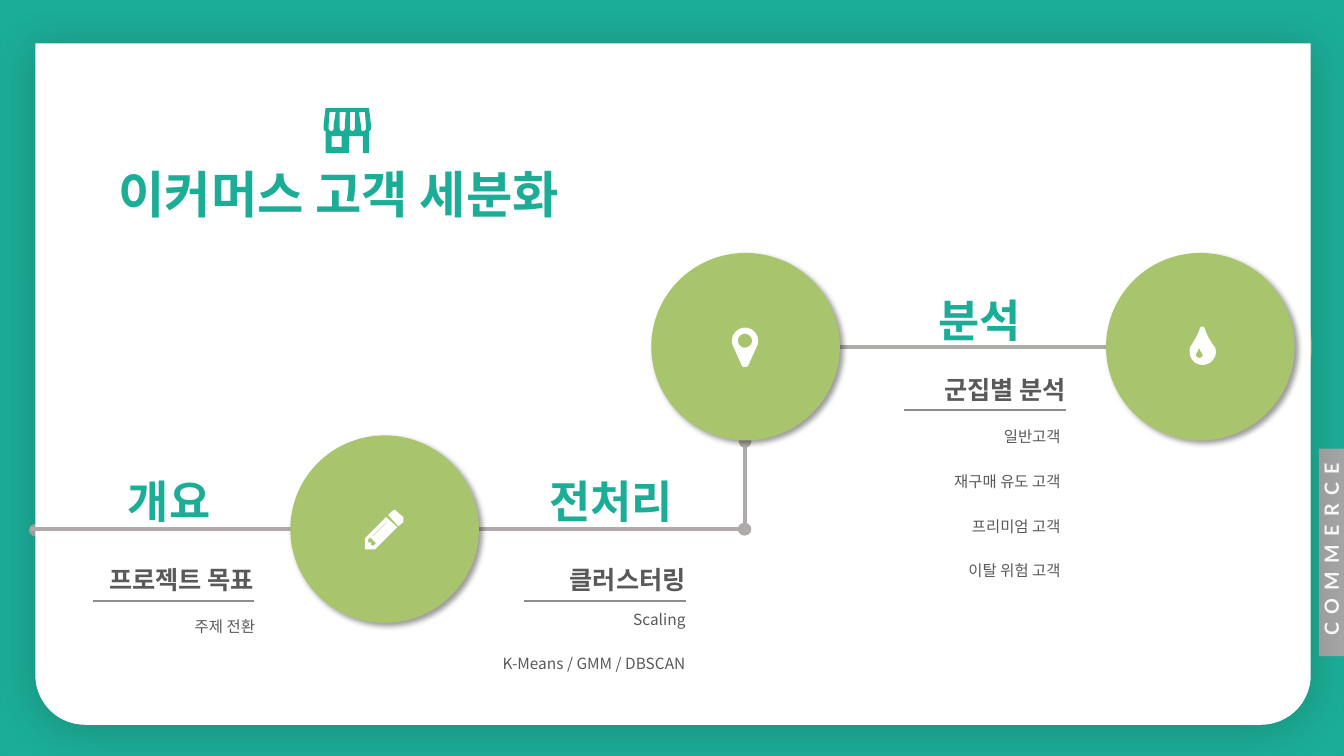
from dataclasses import dataclass
from pptx import Presentation
from pptx.dml.color import RGBColor
from pptx.enum.shapes import MSO_CONNECTOR, MSO_SHAPE
from pptx.enum.text import MSO_AUTO_SIZE, PP_ALIGN
from pptx.oxml.ns import qn
from pptx.oxml.xmlchemy import OxmlElement
from pptx.util import Inches, Pt


@dataclass(frozen=True)
class Theme:
    teal: str = "1CAD97"
    edge: str = "1CAC96"
    green: str = "A8C56D"
    white: str = "FFFFFF"
    track: str = "AFABAB"
    rule: str = "8D8D8D"
    tag: str = "A6A6A6"
    text: str = "595959"
    black: str = "000000"
    korean: str = "Noto Sans CJK KR"
    latin: str = "Lato"
    title: int = 36
    stage: int = 32
    head: int = 18
    label: int = 14
    item: int = 11


T = Theme()
TITLE = "이커머스 고객 세분화"
LABEL = "COMMERCE"
STAGES = [
    {"name": "개요", "at": (1.17, 4.65), "wide": 1.47, "font": T.korean,
     "head": "프로젝트 목표", "right": 2.52, "top": 5.54,
     "items": ["주제 전환"], "list": (2.53, 6.03)},
    {"name": "전처리", "at": (5.35, 4.65), "wide": 1.94, "font": T.latin,
     "head": "클러스터링", "right": 6.8, "top": 5.54,
     "items": ["Scaling", "K-Means / GMM / DBSCAN"], "list": (6.8, 5.96)},
    {"name": "분석", "at": (9.21, 2.85), "wide": 1.47, "font": T.latin,
     "head": "군집별 분석", "right": 10.57, "top": 3.65,
     "items": ["일반고객", "재구매 유도 고객", "프리미엄 고객", "이탈 위험 고객"],
     "list": (10.52, 4.15)},
]
TRACKS = [
    ((7.39, 4.38), (7.39, 5.25), ("headEnd", "tailEnd")),
    ((4.71, 5.25), (7.38, 5.25), ("tailEnd",)),
    ((8.32, 3.44), (10.99, 3.44), ()),
    ((0.31, 5.25), (2.98, 5.25), ("tailEnd",)),
]
DISCS = [(6.46, 2.51), (10.97, 2.51), (2.88, 4.32)]
PIN = """M 25 18 L 16 38 C 15 39 14 39 13 39 C 12 39 10 39 10 38 L 1 18
C 0 16 0 15 0 13 C 0 6 6 0 13 0 C 20 0 26 6 26 13 C 26 15 26 16 25 18
M 13 6 C 9 6 6 9 6 13 C 6 17 9 20 13 20 C 16 20 20 17 20 13 C 20 9 16 6 13 6"""
DROP = """M 13 38 C 5 38 0 32 0 25 C 0 22 0 20 2 18 C 3 16 8 9 10 2
C 11 0 12 0 13 0 C 14 0 14 0 15 2 C 17 9 22 16 23 18 C 25 20 26 22 26 25
C 26 32 20 38 13 38 M 12 26 C 12 26 10 24 10 22 L 9 22 C 8 24 7 26 7 26
C 6 27 6 27 6 28 C 6 30 8 31 10 31 C 11 31 13 30 13 28 C 13 27 12 27 12 26"""
PENCIL = """M 32 17 L 10 39 L 0 39 L 0 28 L 21 7
M 11 33 L 5 27 L 3 29 L 3 32 L 6 32 L 6 35 L 9 35
M 22 11 L 8 25 L 7 26 L 8 26 L 22 12
M 38 12 L 33 16 L 23 5 L 27 1 C 28 0 29 0 29 0 C 30 0 31 0 31 1
L 38 7 C 38 7 38 8 38 9 C 38 10 38 11 38 12"""
STORE = """M 42 20 C 42 22 41 23 39 23 C 38 23 37 22 37 20 L 37 17 L 35 4 L 41 4 L 42 17
M 31 20 C 31 22 30 23 29 23 C 27 23 26 22 26 20 L 26 4 L 31 4
M 21 20 C 21 22 20 23 18 23 C 17 23 16 22 16 20 L 16 4 L 22 4 L 21 17
M 18 39 L 8 39 L 8 28 L 18 28
M 5 20 L 5 17 L 6 4 L 12 4 L 10 17 L 10 20 C 10 22 9 23 8 23 C 6 23 5 22 5 20
M 45 0 L 2 0 L 0 17 L 0 20 C 0 22 1 23 2 23 L 2 45 L 25 45 L 25 28
L 39 28 L 39 45 L 45 45 L 45 23 C 46 23 47 22 47 20 L 47 17"""
ICONS = [(PIN, 7.26, 3.25, T.white), (DROP, 11.8, 3.24, T.white),
         (PENCIL, 3.62, 5.06, T.white), (STORE, 3.21, 1.07, T.teal)]

deck = Presentation()
deck.slide_width, deck.slide_height = Inches(13.33), Inches(7.5)
slide = deck.slides.add_slide(deck.slide_layouts[6])
shapes = slide.shapes


def node(parent, tag, **attrs):
    child = OxmlElement(f"a:{tag}")
    for key, value in attrs.items():
        child.set(key, str(value))
    parent.append(child)
    return child


def paint(shape, color):
    shape.shadow.inherit = False
    shape.fill.solid()
    shape.fill.fore_color.rgb = RGBColor.from_string(color)
    shape.line.fill.background()
    return shape


def block(kind, box, color):
    return paint(shapes.add_shape(kind, *map(Inches, box)), color)


def shade(shape, alpha, blur, angle):
    effects = shape._element.spPr.find(qn("a:effectLst"))
    cast = node(effects, "outerShdw", blurRad=Pt(blur), dist=Pt(3),
                dir=angle * 60000, algn="ctr", rotWithShape=0)
    node(node(cast, "srgbClr", val=T.black), "alpha", val=alpha * 1000)


def link(start, end, color, width, ends=()):
    line = shapes.add_connector(MSO_CONNECTOR.STRAIGHT, *map(Inches, start + end))
    line.line.color.rgb = RGBColor.from_string(color)
    line.line.width = Pt(width)
    for tag in ends:
        node(line.line._get_or_add_ln(), tag, type="oval")
    node(line._element.spPr, "effectLst")


def write(box, lines, size, color, font=T.korean, bold=True, align=PP_ALIGN.LEFT,
          wrap=True, inset=True, lead=None):
    shape = shapes.add_textbox(*map(Inches, box))
    frame = shape.text_frame
    frame.word_wrap = wrap
    frame.auto_size = MSO_AUTO_SIZE.SHAPE_TO_FIT_TEXT
    if not inset:
        frame.margin_left = frame.margin_right = 0
        frame.margin_top = frame.margin_bottom = 0
    frame.text = "\n".join(lines)
    for para in frame.paragraphs:
        para.alignment = align
        if lead:
            para.line_spacing, para.space_after = lead, Pt(12)
        para.font.size, para.font.bold, para.font.name = Pt(size), bold, font
        para.font.color.rgb = RGBColor.from_string(color)
        node(para._p.pPr.find(qn("a:defRPr")), "ea", typeface=T.korean)
    return shape


def trace(outline):
    loops = []
    for part in outline.split("M")[1:]:
        loop = []
        for step in ("L" + part).replace("L", "|L").replace("C", "|C").split("|")[1:]:
            nums = [float(n) / 100 for n in step[1:].split()]
            points = list(zip(nums[::2], nums[1::2]))
            if step[0] == "L":
                loop += points
                continue
            a, b, c, d = [loop[-1]] + points
            for t in (n / 8 for n in range(1, 9)):
                u = 1 - t
                loop.append(tuple(u**3 * p + 3 * u * u * t * q + 3 * u * t * t * r + t**3 * s
                                  for p, q, r, s in zip(a, b, c, d)))
        loops.append([tuple(map(Inches, point)) for point in loop])
    return loops


def icon(outline, left, top, color):
    first, *rest = trace(outline)
    pen = shapes.build_freeform(*first[0])
    pen.add_line_segments(first[1:])
    for loop in rest:
        pen.move_to(*loop[0])
        pen.add_line_segments(loop[1:])
    paint(pen.convert_to_shape(Inches(left), Inches(top)), color)


back = block(MSO_SHAPE.RECTANGLE, (0, 0, 13.33, 7.5), T.teal)
back.line.color.rgb = RGBColor.from_string(T.edge)
back.line.width = Pt(1)
block(MSO_SHAPE.OVAL, (11.14, 2.51, 1.87, 1.86), T.green)
link((0.35, 5.26), (3.01, 5.26), T.track, 3, ("headEnd",))
block(MSO_SHAPE.RECTANGLE, (13.08, 4.45, 0.26, 2.06), T.tag)
label = write((12.2, 5.28, 2.01, 0.34), [LABEL], T.label, T.white, T.latin,
              align=PP_ALIGN.CENTER, wrap=False)
label.rotation = 270
label.text_frame.paragraphs[0].runs[0]._r.get_or_add_rPr().set("spc", "600")

card = block(MSO_SHAPE.ROUND_2_SAME_RECTANGLE, (0.35, 0.43, 12.65, 6.76), T.white)
card.rotation = 180
card.adjustments[0], card.adjustments[1] = 0.073, 0
shade(card, 18, 32, 90)

for start, end, ends in TRACKS:
    link(start, end, T.track, 3, ends)
for spot in DISCS:
    shade(block(MSO_SHAPE.OVAL, spot + (1.87, 1.86), T.green), 40, 4, 45)
for art in ICONS:
    icon(*art)

write((0.81, 1.57, 5.1, 0.71), [TITLE], T.title, T.teal,
      align=PP_ALIGN.CENTER, wrap=False)
for stage in STAGES:
    right, top = stage["right"], stage["top"]
    edge, start = stage["list"]
    items = stage["items"]
    write(stage["at"] + (stage["wide"], 0.64), [stage["name"]], T.stage, T.teal, stage["font"])
    write((right - 1.85, top, 1.85, 0.34), [stage["head"]], T.head, T.text,
          align=PP_ALIGN.RIGHT, inset=False, lead=1.2)
    link((right, top + 0.42), (right - 1.6, top + 0.42), T.rule, 1.5)
    write((edge - 2.07, start, 2.07, 0.45 * len(items) - 0.21), items, T.item, T.text,
          bold=False, align=PP_ALIGN.RIGHT, inset=False, lead=1.5)

deck.save("out.pptx")
